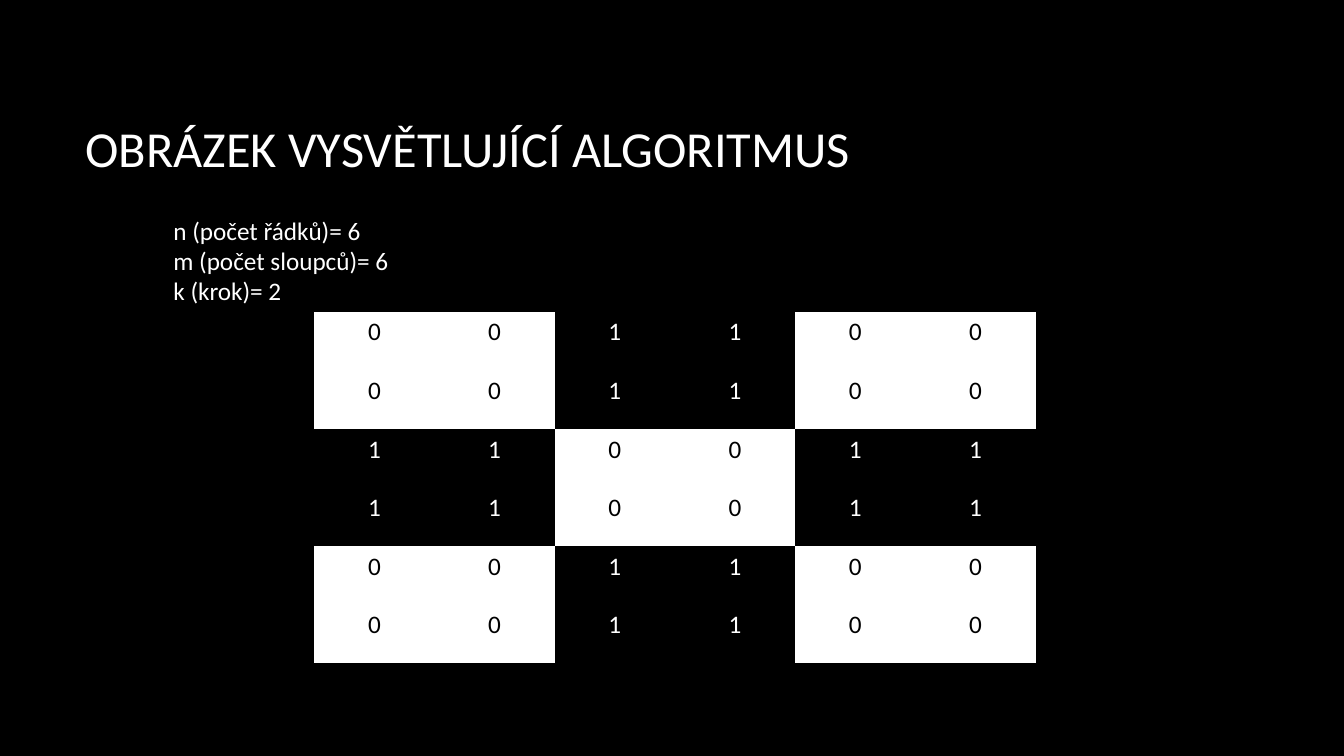
from pptx import Presentation
from pptx.dml.color import RGBColor
from pptx.enum.text import MSO_ANCHOR, MSO_AUTO_SIZE, PP_ALIGN
from pptx.util import Cm, Pt

HUES = {"black": "000000", "white": "FFFFFF"}
FONT = "Calibri"
ROWS, COLS, STEP = 6, 6, 2
NO_GRID = "{2D5ABB26-0587-4C30-8999-92F81FD0307C}"


def paint(fill, hue):
    fill.solid()
    fill.fore_color.rgb = RGBColor.from_string(HUES[hue])


def add_run(para, text, size, hue, align=PP_ALIGN.LEFT):
    para.alignment = align
    run = para.add_run()
    run.text = text
    run.font.name = FONT
    run.font.size = Pt(size)
    run.font.color.rgb = RGBColor.from_string(HUES[hue])


def set_title(slide, text):
    title = slide.shapes.title
    title.left, title.top = Cm(1.9), Cm(1.7)
    title.width, title.height = Cm(28.15), Cm(4.05)
    frame = title.text_frame
    frame.vertical_anchor = MSO_ANCHOR.MIDDLE
    add_run(frame.paragraphs[0], text, 36, "white")


def add_board(slide):
    frame = slide.shapes.add_table(
        ROWS, COLS, Cm(7.92), Cm(7.86), Cm(18.18), Cm(8.86))
    table = frame.table
    table.first_row = False
    table.horz_banding = False
    table._tbl.tblPr.find("{*}tableStyleId").text = NO_GRID
    for row in range(ROWS):
        for col in range(COLS):
            bit = (row // STEP + col // STEP) % 2
            back, ink = ("black", "white") if bit else ("white", "black")
            cell = table.cell(row, col)
            paint(cell.fill, back)
            para = cell.text_frame.paragraphs[0]
            add_run(para, str(bit), 18, ink, PP_ALIGN.CENTER)


def add_notes(slide, lines):
    box = slide.shapes.add_textbox(Cm(4.12), Cm(5.29), Cm(7.6), Cm(2.56))
    frame = box.text_frame
    frame.word_wrap = True
    frame.auto_size = MSO_AUTO_SIZE.SHAPE_TO_FIT_TEXT
    for spot, line in enumerate(lines):
        para = frame.add_paragraph() if spot else frame.paragraphs[0]
        add_run(para, line, 18, "white")


def main():
    deck = Presentation()
    deck.slide_width, deck.slide_height = Cm(33.87), Cm(19.05)
    slide = deck.slides.add_slide(deck.slide_layouts[5])
    paint(slide.background.fill, "black")
    set_title(slide, "OBRÁZEK VYSVĚTLUJÍCÍ ALGORITMUS")
    add_board(slide)
    add_notes(slide, [
        f"n (počet řádků)= {ROWS}",
        f"m (počet sloupců)= {COLS}",
        f"k (krok)= {STEP}",
    ])
    deck.save("out.pptx")


main()
